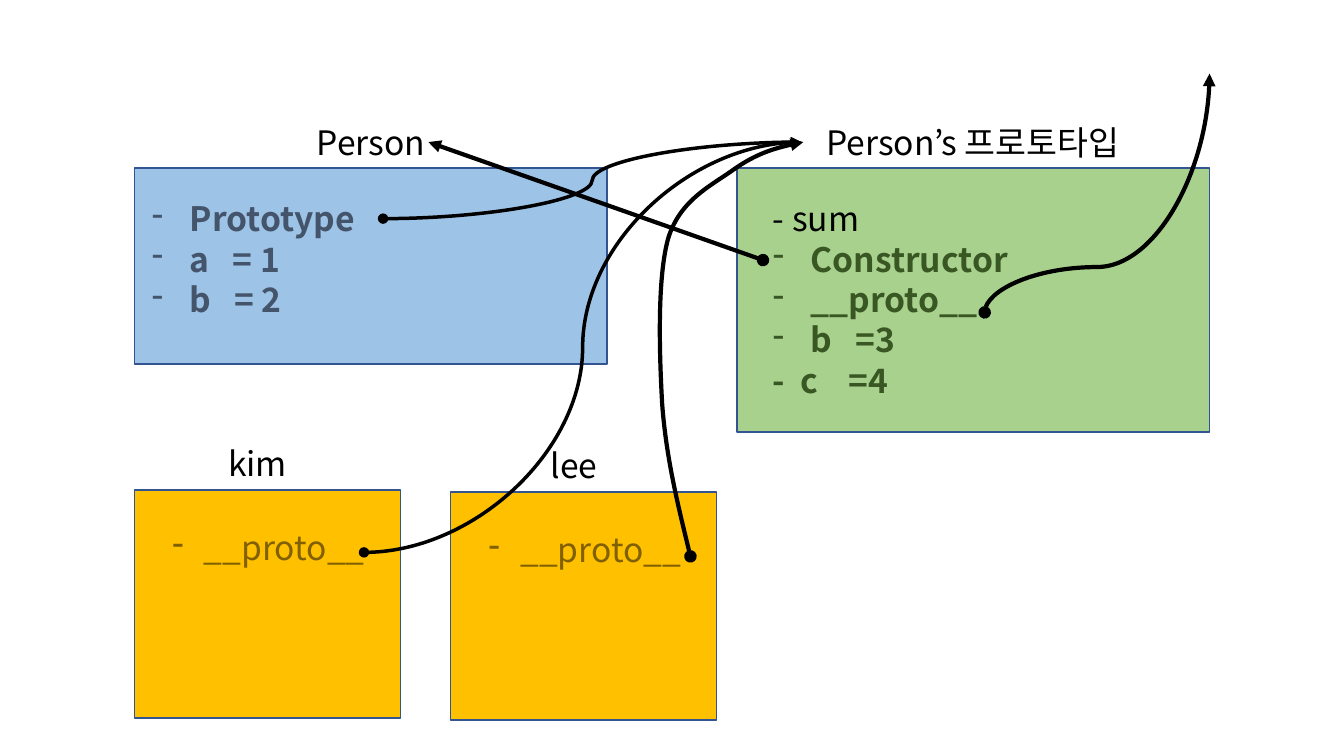
from typing import NamedTuple

from pptx import Presentation
from pptx.dml.color import RGBColor
from pptx.enum.shapes import MSO_CONNECTOR as Connector, MSO_SHAPE as Preset
from pptx.enum.text import PP_ALIGN as Align
from pptx.oxml.ns import qn
from pptx.oxml.xmlchemy import OxmlElement
from pptx.util import Pt

FONT = "Noto Sans CJK KR"
BLACK, OUTLINE = "000000", "325491"
TEXT_SIZE, LINE_PITCH = 24, 28.8


class Box(NamedTuple):
    left: float
    top: float
    width: float
    height: float
    fill: str


class Line(NamedTuple):
    text: str
    color: str = BLACK
    bold: bool = False
    indent: float = 0  # hanging indent of a dash bullet, 0 for none


class Arrow(NamedTuple):
    kind: Connector
    start: tuple[float, float]
    end: tuple[float, float]
    width: float
    upright: bool = False  # leaves and arrives vertically
    bend: float = 0.5


def rgb(color: str) -> RGBColor:
    return RGBColor.from_string(color)


def add_child(parent, tag: str, **attributes: str):
    child = OxmlElement(tag)
    for name, value in attributes.items():
        child.set(name, value)
    parent.append(child)
    return child


def draw_box(slide, box: Box) -> None:
    shape = slide.shapes.add_shape(Preset.RECTANGLE, *map(Pt, box[:4]))
    shape.shadow.inherit = False
    shape.fill.solid()
    shape.fill.fore_color.rgb = rgb(box.fill)
    shape.line.color.rgb = rgb(OUTLINE)
    shape.line.width = Pt(1)


def draw_text(slide, left: float, top: float, width: float,
              lines: list[Line], align: Align = Align.LEFT) -> None:
    height = len(lines) * LINE_PITCH + 7.2
    frame = slide.shapes.add_textbox(*map(Pt, (left, top, width, height))).text_frame
    frame.word_wrap = True
    for index, line in enumerate(lines):
        paragraph = frame.add_paragraph() if index else frame.paragraphs[0]
        paragraph.text = line.text
        paragraph.alignment = align
        paragraph.line_spacing = Pt(LINE_PITCH)
        font = paragraph.font
        font.name, font.size, font.bold = FONT, Pt(TEXT_SIZE), line.bold
        font.color.rgb = rgb(line.color)
        properties = paragraph._p.get_or_add_pPr()
        defaults = properties.find(qn("a:defRPr"))
        add_child(defaults, "a:ea", typeface=FONT)
        if line.indent:
            properties.set("marL", str(Pt(line.indent)))
            properties.set("indent", str(-Pt(line.indent)))
            defaults.addprevious(add_child(properties, "a:buChar", char="-"))


def style_arrow(shape, width: float) -> None:
    shape.line.color.rgb = rgb(BLACK)
    shape.line.width = Pt(width)
    outline = shape.element.spPr.find(qn("a:ln"))
    add_child(outline, "a:headEnd", type="oval")
    add_child(outline, "a:tailEnd", type="triangle")


def draw_arrow(slide, arrow: Arrow) -> None:
    (x1, y1), (x2, y2) = arrow.start, arrow.end
    if arrow.upright:  # endpoints before a quarter turn about the centre
        center_x, center_y = (x1 + x2) / 2, (y1 + y2) / 2
        half_x, half_y = (x2 - x1) / 2, (y2 - y1) / 2
        x1, y1 = center_x - half_y, center_y + half_x
        x2, y2 = center_x + half_y, center_y - half_x
    connector = slide.shapes.add_connector(arrow.kind, *map(Pt, (x1, y1, x2, y2)))
    style_arrow(connector, arrow.width)
    properties = connector.element.spPr
    add_child(properties, "a:effectLst")
    if arrow.upright:
        properties.find(qn("a:xfrm")).set("rot", str(90 * 60000))
    if arrow.bend != 0.5:
        guides = properties.find(qn("a:prstGeom")).get_or_add_avLst()
        add_child(guides, "a:gd", name="adj1", fmla=f"val {round(arrow.bend * 100000)}")


def draw_curve(slide, points: list[tuple[float, float]], width: float) -> None:
    start, *controls = [(Pt(x), Pt(y)) for x, y in points]
    builder = slide.shapes.build_freeform(*start)
    builder.add_line_segments(controls, close=False)
    shape = builder.convert_to_shape()
    shape.shadow.inherit = False
    shape.fill.background()
    style_arrow(shape, width)
    # Every three straight segments become one Bezier segment
    segments = list(shape.element.iter(qn("a:lnTo")))
    for first in range(0, len(segments), 3):
        group = segments[first:first + 3]
        bezier = add_child(group[0].getparent(), "a:cubicBezTo")
        for segment in group:
            bezier.append(segment[0])
            segment.getparent().remove(segment)


presentation = Presentation()
presentation.slide_width, presentation.slide_height = Pt(960), Pt(540)
slide = presentation.slides.add_slide(presentation.slide_layouts[6])

# Constructor and its prototype
SLATE, GREEN, BROWN = "44546A", "385723", "806000"
draw_box(slide, Box(96, 120, 337.5, 140, "9DC3E6"))
draw_box(slide, Box(526.5, 120, 337.5, 188.6, "A9D18E"))
draw_text(slide, 181.5, 83.5, 167, [Line("Person")], Align.CENTER)
draw_text(slide, 572.4, 83.5, 245, [Line("Person’s 프로토타입")], Align.CENTER)
draw_text(slide, 101.5, 138.2, 313,
          [Line(text, SLATE, True, 27) for text in ("Prototype", "a   = 1", "b   = 2")])
draw_text(slide, 545, 138.2, 480, [
    Line("- sum"),
    *(Line(text, GREEN, True, 27) for text in ("Constructor", "__proto__", "b   =3")),
    Line("-  c    =4", GREEN, True),
])

# Instances
for name, left, top in (("kim", 96, 350), ("lee", 322, 351.4)):
    draw_box(slide, Box(left, top, 190, 163, "FFC000"))
    draw_text(slide, left + 20, top - 37, 136, [Line(name)], Align.CENTER)
    draw_text(slide, left + 20, top + 23, 190, [Line("__proto__", BROWN, indent=22.5)])

# References between objects
PROTOTYPE = (572.4, 101.5)
for arrow in (
    Arrow(Connector.CURVE, (273.6, 156.2), PROTOTYPE, 2.5),
    Arrow(Connector.STRAIGHT, (545, 185.8), (306, 101.5), 3),
    Arrow(Connector.CURVE, (260, 394.6), PROTOTYPE, 2.5),
    Arrow(Connector.CURVE, (703.4, 223.2), (864, 52.6), 3, upright=True, bend=0.19),
):
    draw_arrow(slide, arrow)

draw_curve(slide, [
    (493.2, 397.4),
    (484.6, 362.2), (475.9, 326.9), (473, 288.7),
    (470.9, 251.3), (469.4, 198), (477.4, 169.9),
    (486, 142.6), (508.3, 132.5), (524.2, 121),
    (540.7, 109.4), (560.9, 103.7), (573.8, 101.5),
], 3)

presentation.save("out.pptx")
